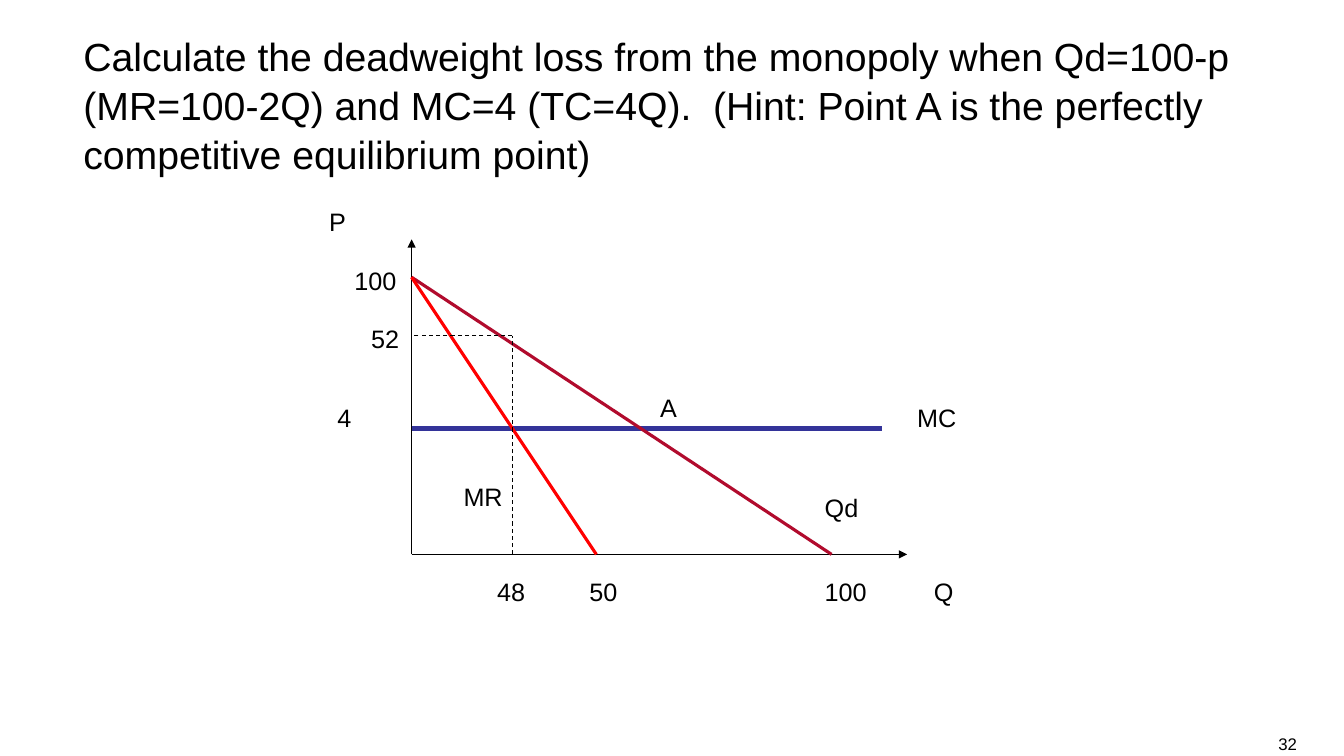
from lxml.etree import SubElement
from pptx import Presentation
from pptx.dml.color import RGBColor
from pptx.enum.dml import MSO_LINE
from pptx.enum.shapes import MSO_CONNECTOR, MSO_SHAPE
from pptx.enum.text import MSO_ANCHOR, PP_ALIGN
from pptx.oxml.ns import qn
from pptx.util import Pt

THEME = {
    "font": "Arial", "title": 28, "label": 18, "page": 12,
    "ink": "000000", "paper": "FFFFFF",
    "cost": "333399", "demand": "B10B2D", "revenue": "FF0000",
    "thin": 0.75, "curve": 2.25, "thick": 3,
}

TITLE = ("Calculate the deadweight loss from the monopoly when Qd=100-p "
         "(MR=100-2Q) and MC=4 (TC=4Q).  (Hint: Point A is the perfectly "
         "competitive equilibrium point)")
PAGE = "32"

LEFT, BASE = 294, 396
TOP, RIGHT = 171, 648
CHOKE, PRICE, COST = 198, 240, 306
SOLD, HALF, FULL = 366, 426, 594
ROW = 408

LINES = [
    ((LEFT, BASE), (LEFT, TOP), "ink", "thin", "arrow"),
    ((LEFT, BASE), (RIGHT, BASE), "ink", "thin", "arrow"),
    ((LEFT, COST), (630, COST), "cost", "thick", None),
    ((LEFT, CHOKE), (FULL, BASE), "demand", "curve", None),
    ((LEFT, CHOKE), (HALF, BASE), "revenue", "curve", None),
    ((SOLD, BASE), (SOLD, PRICE), "ink", "thin", "dash"),
    ((SOLD, PRICE), (LEFT, PRICE), "ink", "thin", "dash"),
]

LABELS = [
    ("P", 228, 144, 48), ("100", 246, 186, 48), ("52", 258, 227.5, 36),
    ("4", 234, 284, 36), ("MC", 648, 284, 66), ("A", 464.5, 277, 42),
    ("MR", 324, 340, 48), ("Qd", 582, 348, 48),
    ("48", 348, ROW, 42), ("50", 414, ROW, 36),
    ("100", 582, ROW, 48), ("Q", 660, ROW, 42),
]


def color(name):
    return RGBColor.from_string(THEME[name])


def write(shape, text, size):
    frame = shape.text_frame
    frame.word_wrap = True
    frame.text = text
    para = frame.paragraphs[0]
    font = para.runs[0].font
    font.name = THEME["font"]
    font.size = Pt(THEME[size])
    font.color.rgb = color("ink")
    return frame, para


def draw(shapes, start, end, hue, width, style):
    wire = shapes.add_connector(
        MSO_CONNECTOR.STRAIGHT, *(Pt(n) for n in start + end))
    wire.line.color.rgb = color(hue)
    wire.line.width = Pt(THEME[width])
    if style == "dash":
        wire.line.dash_style = MSO_LINE.DASH
    if style == "arrow":
        SubElement(wire.line._get_or_add_ln(), qn("a:tailEnd"), type="triangle")
    SubElement(wire._element.spPr, qn("a:effectLst"))


def main():
    deck = Presentation()
    deck.slide_width, deck.slide_height = Pt(960), Pt(540)
    shapes = deck.slides.add_slide(deck.slide_layouts[6]).shapes

    plate = shapes.add_shape(
        MSO_SHAPE.RECTANGLE, Pt(880), Pt(522), Pt(80), Pt(18))
    plate.shadow.inherit = False
    plate.fill.solid()
    plate.fill.fore_color.rgb = color("paper")
    plate.line.fill.background()
    frame, para = write(plate, PAGE, "page")
    frame.vertical_anchor = MSO_ANCHOR.MIDDLE
    frame.margin_right = Pt(33.5)
    para.alignment = PP_ALIGN.RIGHT

    head = shapes.add_textbox(Pt(52.5), Pt(18), Pt(849), Pt(90))
    frame, para = write(head, TITLE, "title")
    para.line_spacing = 1.04

    for line in LINES:
        draw(shapes, *line)
    for text, left, top, width in LABELS:
        box = shapes.add_textbox(Pt(left), Pt(top), Pt(width), Pt(29))
        write(box, text, "label")

    deck.save("out.pptx")


if __name__ == "__main__":
    main()
